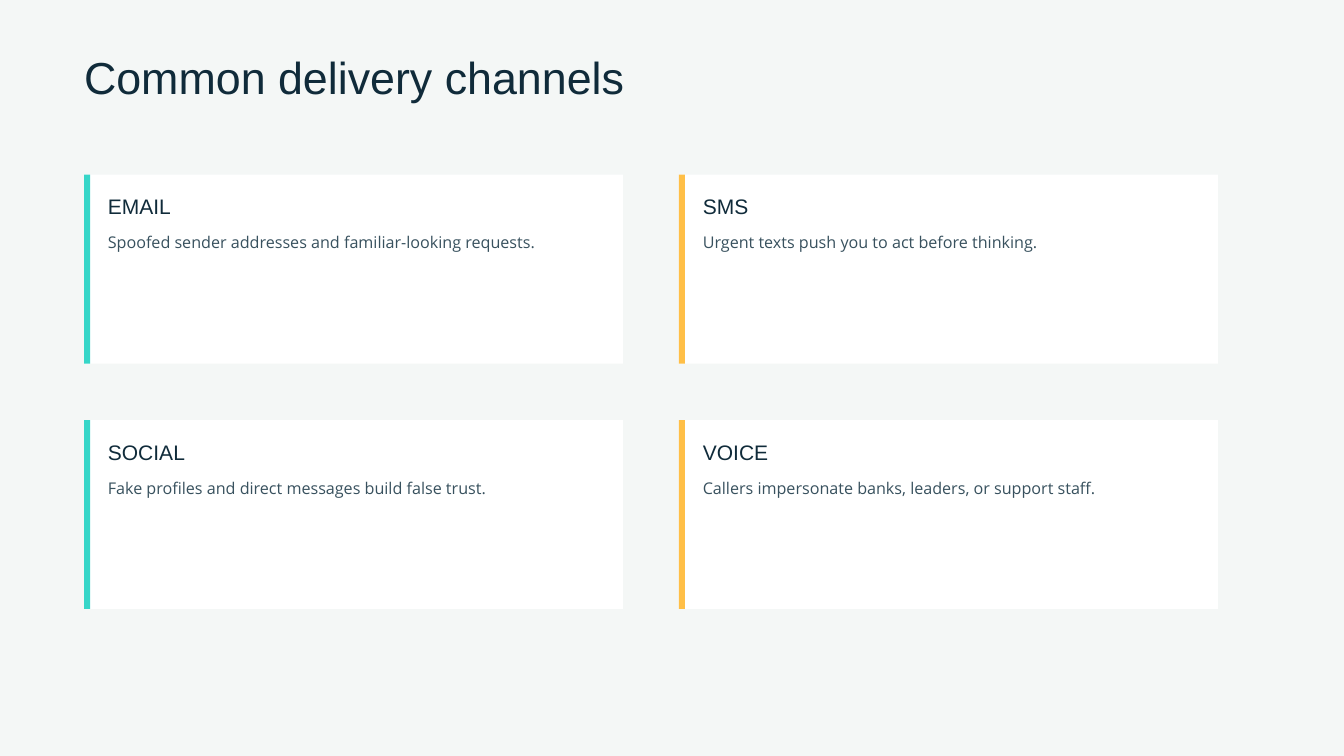
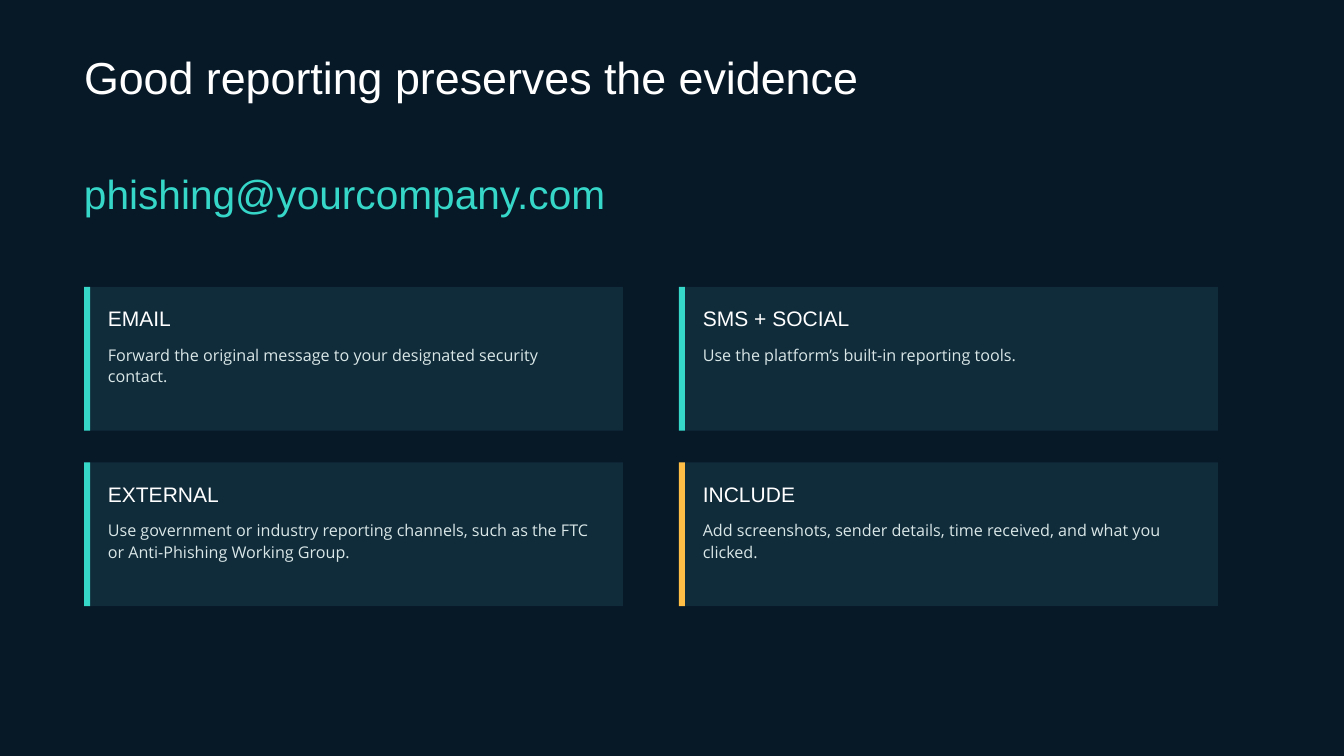
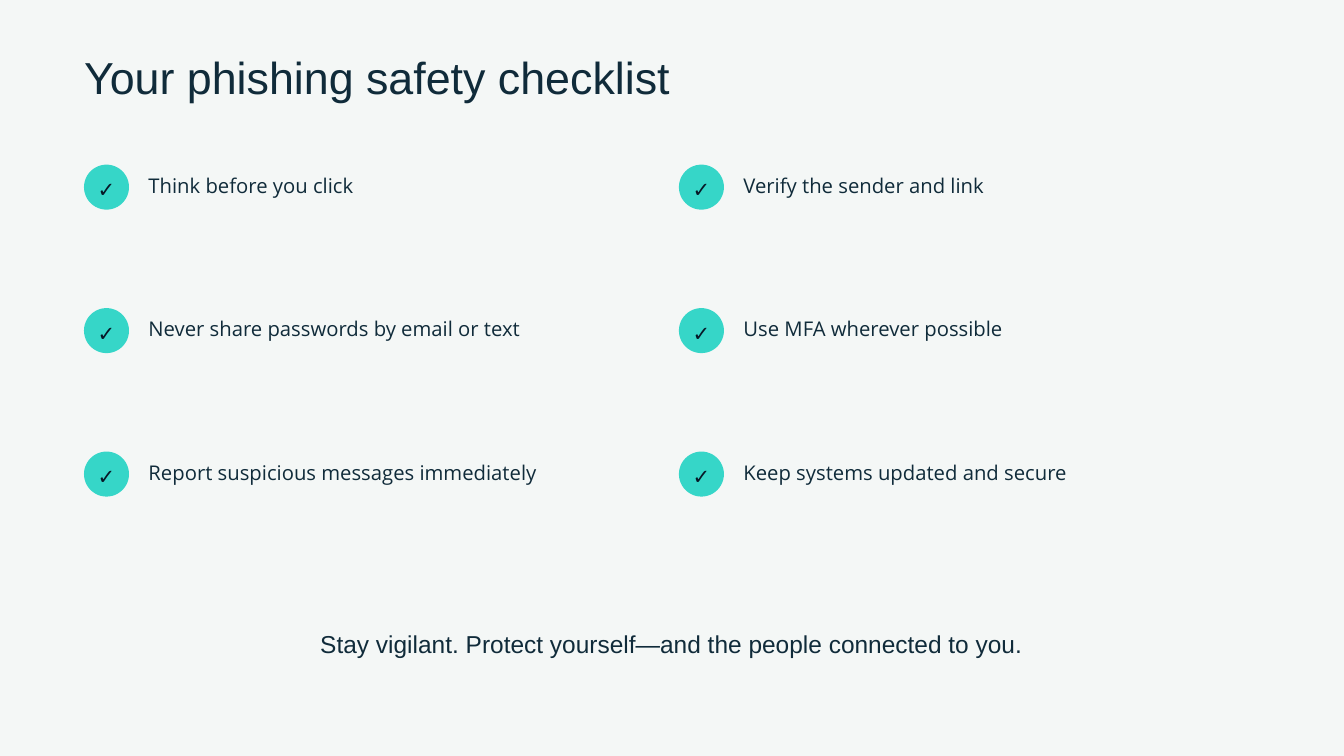
from pptx import Presentation
from pptx.dml.color import RGBColor
from pptx.enum.shapes import MSO_SHAPE
from pptx.enum.text import MSO_ANCHOR, MSO_AUTO_SIZE, PP_ALIGN
from pptx.util import Inches, Pt

# Palette
PALE = RGBColor(0xF4, 0xF7, 0xF6)
NIGHT = RGBColor(0x07, 0x18, 0x27)
NAVY = RGBColor(0x10, 0x2B, 0x3A)
SLATE = RGBColor(0x38, 0x51, 0x5E)
MIST = RGBColor(0xD9, 0xE7, 0xE7)
WHITE = RGBColor(0xFF, 0xFF, 0xFF)
TEAL = RGBColor(0x36, 0xD6, 0xC8)
AMBER = RGBColor(0xFF, 0xBF, 0x47)

# Type styles: font, size, line spacing (points)
TITLE = ("Arial", 48, 49)
ADDRESS = ("Arial", 43.5, 44.4)
CARD_HEADING = ("Arial", 22.5, 22.9)
CARD_BODY = ("Open Sans", 17.25, 23.3)
CHECK_MARK = ("Open Sans", 22.5, 31.5)
CHECK_LABEL = ("Open Sans", 21.75, 29.4)
CLOSING = ("Arial", 26.25, 26.8)

# Two-column grid (inches)
SLIDE_WIDTH, SLIDE_HEIGHT = 20, 11.25
MARGIN = SLIDE_WIDTH / 16
COLUMNS = 2
GUTTER = SLIDE_WIDTH / 24
COLUMN_WIDTH = 8.02
CARD_PADDING = 0.355
ACCENT_WIDTH = 0.09
CHECK_SIZE = 0.67


def grid_cells(items, top, row_pitch):
    """Yield the left and top of each item's cell, filled row by row."""
    for index, item in enumerate(items):
        row, column = divmod(index, COLUMNS)
        yield MARGIN + column * (COLUMN_WIDTH + GUTTER), top + row * row_pitch, item


def write_text(text_frame, text, style, color, align=PP_ALIGN.LEFT, bold=False):
    font_name, size, line_spacing = style
    paragraph = text_frame.paragraphs[0]
    paragraph.alignment = align
    paragraph.line_spacing = Pt(line_spacing)
    run = paragraph.add_run()
    run.text = text
    run.font.name = font_name
    run.font.size = Pt(size)
    run.font.bold = bold
    run.font.color.rgb = color


def set_insets(text_frame, inset):
    text_frame.margin_left = text_frame.margin_right = Inches(inset)
    text_frame.margin_top = text_frame.margin_bottom = Inches(inset)


def add_text(shapes, left, top, width, height, text, style, color, align=PP_ALIGN.LEFT):
    box = shapes.add_textbox(Inches(left), Inches(top), Inches(width), Inches(height))
    text_frame = box.text_frame
    text_frame.word_wrap = True
    text_frame.auto_size = MSO_AUTO_SIZE.SHAPE_TO_FIT_TEXT
    set_insets(text_frame, 0)
    write_text(text_frame, text, style, color, align)


def add_filled(shapes, preset, left, top, width, height, color):
    shape = shapes.add_shape(preset, Inches(left), Inches(top), Inches(width), Inches(height))
    shape.shadow.inherit = False
    shape.fill.solid()
    shape.fill.fore_color.rgb = color
    shape.line.fill.background()
    return shape


def add_slide(presentation, title, background, title_color):
    slide = presentation.slides.add_slide(presentation.slide_layouts[6])
    slide.background.fill.solid()
    slide.background.fill.fore_color.rgb = background
    add_text(slide.shapes, MARGIN, 0.86, 15.62, 0.7, title, TITLE, title_color)
    return slide


def add_cards(slide, cards, top, height, row_pitch, panel, heading_color, body_color):
    text_width = COLUMN_WIDTH - 2 * CARD_PADDING
    for left, card_top, (heading, body, accent) in grid_cells(cards, top, row_pitch):
        shapes = slide.shapes.add_group_shape().shapes
        add_filled(shapes, MSO_SHAPE.RECTANGLE, left, card_top, COLUMN_WIDTH, height, panel)
        add_filled(shapes, MSO_SHAPE.RECTANGLE, left, card_top, ACCENT_WIDTH, height, accent)
        text_left = left + CARD_PADDING
        add_text(shapes, text_left, card_top + 0.34, text_width, 0.35,
                 heading, CARD_HEADING, heading_color)
        add_text(shapes, text_left, card_top + 0.83, text_width, 0.3,
                 body, CARD_BODY, body_color)


def add_checklist(slide, labels, top, row_pitch):
    for left, check_top, label in grid_cells(labels, top, row_pitch):
        shapes = slide.shapes.add_group_shape().shapes
        circle = add_filled(shapes, MSO_SHAPE.OVAL, left, check_top,
                            CHECK_SIZE, CHECK_SIZE, TEAL)
        set_insets(circle.text_frame, 0)
        circle.text_frame.word_wrap = False
        circle.text_frame.vertical_anchor = MSO_ANCHOR.MIDDLE
        write_text(circle.text_frame, "✓", CHECK_MARK, NIGHT, PP_ALIGN.CENTER, bold=True)
        add_text(shapes, left + 0.96, check_top + 0.08, 6.77, 0.38,
                 label, CHECK_LABEL, NAVY)


def main():
    presentation = Presentation()
    presentation.slide_width = Inches(SLIDE_WIDTH)
    presentation.slide_height = Inches(SLIDE_HEIGHT)

    # Delivery channels
    channels = [
        ("EMAIL", "Spoofed sender addresses and familiar-looking requests.", TEAL),
        ("SMS", "Urgent texts push you to act before thinking.", AMBER),
        ("SOCIAL", "Fake profiles and direct messages build false trust.", TEAL),
        ("VOICE", "Callers impersonate banks, leaders, or support staff.", AMBER),
    ]
    slide = add_slide(presentation, "Common delivery channels", PALE, NAVY)
    add_cards(slide, channels, 2.6, 2.81, 3.65, WHITE, NAVY, SLATE)

    # Reporting
    reports = [
        ("EMAIL", "Forward the original message to your designated security contact.", TEAL),
        ("SMS + SOCIAL", "Use the platform’s built-in reporting tools.", TEAL),
        ("EXTERNAL", "Use government or industry reporting channels, such as the FTC "
                     "or Anti-Phishing Working Group.", TEAL),
        ("INCLUDE", "Add screenshots, sender details, time received, and what you clicked.",
         AMBER),
    ]
    slide = add_slide(presentation, "Good reporting preserves the evidence", NIGHT, WHITE)
    add_text(slide.shapes, MARGIN, 2.62, 11.46, 0.65,
             "phishing@yourcompany.com", ADDRESS, TEAL)
    add_cards(slide, reports, 4.27, 2.14, 2.61, NAVY, WHITE, MIST)

    # Checklist
    habits = [
        "Think before you click",
        "Verify the sender and link",
        "Never share passwords by email or text",
        "Use MFA wherever possible",
        "Report suspicious messages immediately",
        "Keep systems updated and secure",
    ]
    slide = add_slide(presentation, "Your phishing safety checklist", PALE, NAVY)
    add_checklist(slide, habits, 2.45, 2.135)
    closing_width = 15.42
    add_text(slide.shapes, (SLIDE_WIDTH - closing_width) / 2, 9.42, closing_width, 0.39,
             "Stay vigilant. Protect yourself—and the people connected to you.",
             CLOSING, NAVY, PP_ALIGN.CENTER)

    presentation.save("out.pptx")


if __name__ == "__main__":
    main()
